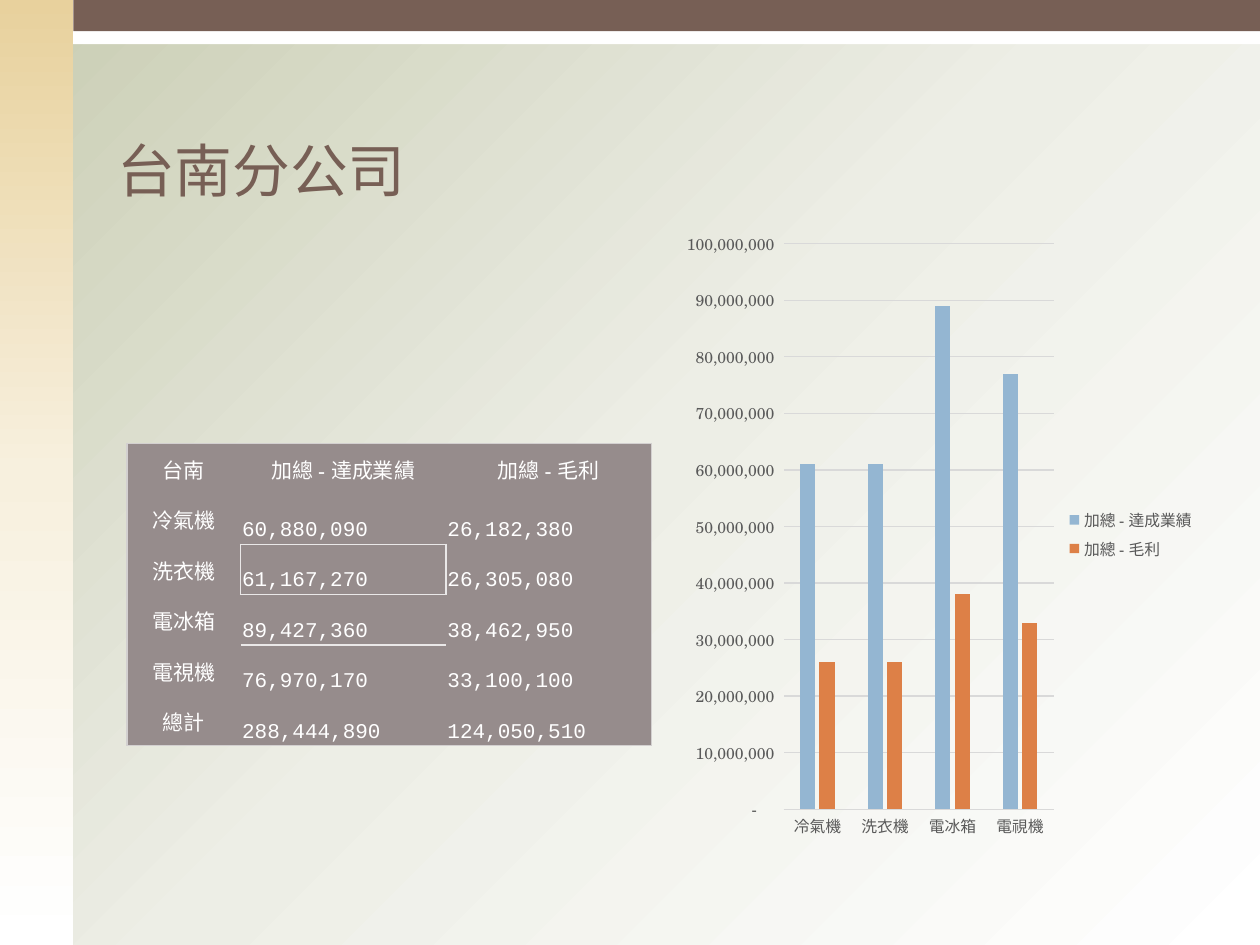
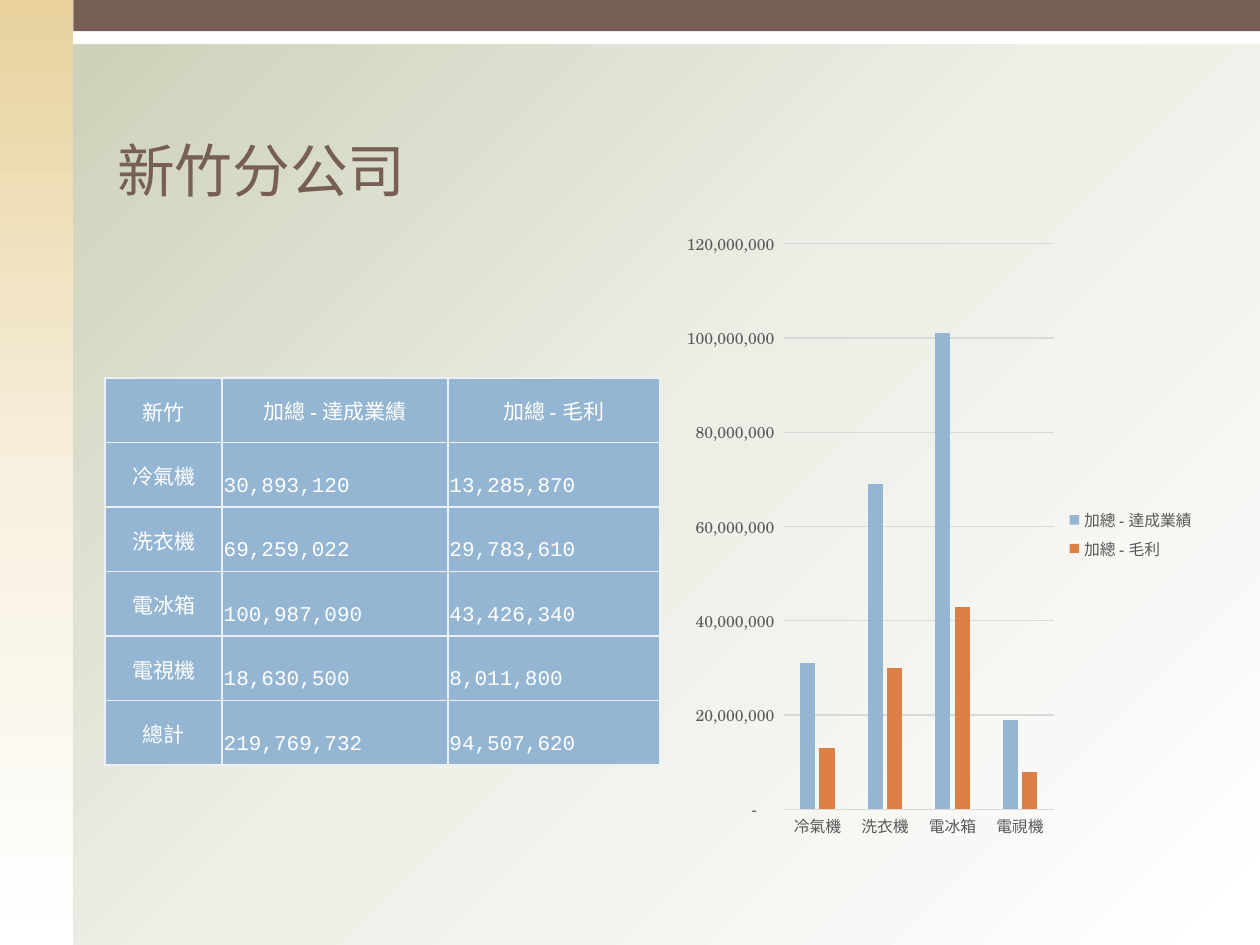
from dataclasses import dataclass

from lxml import etree
from pptx import Presentation
from pptx.chart.data import CategoryChartData
from pptx.dml.color import RGBColor
from pptx.enum import chart as ch, shapes, text
from pptx.oxml.ns import qn
from pptx.util import Cm, Pt

COLORS = {
    "brown": "775F55", "white": "FFFFFF", "blue": "94B6D2", "orange": "DD8047",
    "taupe": "968C8C", "outline": "D3D0D0", "highlight": "EAE8E8",
    "pale_blue": "EAF0F6", "axis_text": "595959", "grid": "D9D9D9", "black": "000000",
}
PAGE_GRADIENT = ("C9CDB3", "EDEEE6", "FFFFFF")
SIDEBAR_GRADIENT = ("E8D19D", "F7F0DE", "FFFFFF")
SERIF, SANS, MONO = "TeX Gyre Schola", "Noto Sans CJK KR", "Courier New"
NO_STYLE = "{2D5ABB26-0587-4C30-8999-92F81FD0307C}"
NUMBER_FORMAT = '_-* #,##0_-;\\-* #,##0_-;_-* "-"??_-;_-@_'
PRODUCTS = ("冷氣機", "洗衣機", "電冰箱", "電視機")
MEASURES = ("加總 - 達成業績", "加總 - 毛利")
ROW_COUNT = len(PRODUCTS) + 2
TWO_LINES = 0.96
PAGE_W, PAGE_H = 25.4, 19.05
SIDEBAR_W = 1.48


@dataclass
class Branch:
    name: str
    sales: tuple
    profit: tuple
    origin: tuple
    columns: tuple
    table_height: float
    fill: str
    edges: callable
    axis_max: int
    axis_step: int

    @property
    def row_height(self):
        return self.table_height / ROW_COUNT


def rgb(name):
    return RGBColor.from_string(COLORS[name])


def style_font(font, name, size, color):
    font.name, font.size = name, Pt(size)
    font.color.rgb = rgb(color)


def add_east_asian_font(element):
    for latin in list(element.iter(qn("a:latin"))):
        ea = etree.Element(qn("a:ea"))
        ea.set("typeface", SANS)
        latin.addnext(ea)


def fill_gradient(fill, element, colors, angle):
    fill.gradient()
    fill.gradient_angle = 360 - angle
    stops = next(element.iter(qn("a:gsLst")))
    for stop in list(stops):
        stops.remove(stop)
    for i, color in enumerate(colors):
        stop = etree.SubElement(stops, qn("a:gs"), pos=str(i * 50000))
        etree.SubElement(stop, qn("a:srgbClr"), val=color)


def add_band(slide, left, top, width, height, color=None):
    sp = slide.shapes.add_shape(
        shapes.MSO_SHAPE.RECTANGLE, Cm(left), Cm(top), Cm(width), Cm(height))
    sp.shadow.inherit = False
    sp.line.fill.background()
    if color:
        sp.fill.solid()
        sp.fill.fore_color.rgb = rgb(color)
    return sp


def add_frame(slide):
    fill_gradient(slide.background.fill, slide._element, PAGE_GRADIENT, 45)
    add_band(slide, 0, 0, PAGE_W, 0.89, "white")
    sidebar = add_band(slide, 0, 0, SIDEBAR_W, PAGE_H)
    fill_gradient(sidebar.fill, sidebar._element, SIDEBAR_GRADIENT, 90)
    add_band(slide, SIDEBAR_W, 0, PAGE_W - SIDEBAR_W, 0.63, "brown")


def add_title(slide, title):
    sp = slide.shapes.add_textbox(Cm(2.11), Cm(1.05), Cm(22.23), Cm(3.18))
    tf = sp.text_frame
    tf.word_wrap = True
    tf.vertical_anchor = text.MSO_ANCHOR.BOTTOM
    p = tf.paragraphs[0]
    p.text = title
    style_font(p.font, SANS, 33, "brown")
    add_east_asian_font(p._p)


def set_edges(cell, edges):
    tc_pr = cell._tc.get_or_add_tcPr()
    for side in "LRTB":
        if side in edges:
            color, width = edges[side]
            ln = etree.SubElement(tc_pr, qn(f"a:ln{side}"), w=str(Pt(width)))
            solid = etree.SubElement(ln, qn("a:solidFill"))
            etree.SubElement(solid, qn("a:srgbClr"), val=COLORS[color])


def tainan_edges(row, col):
    outer = {"L": col == 0, "R": col == 2, "T": row == 0, "B": row == ROW_COUNT - 1}
    marked = {(1, 1): "B", (2, 0): "R", (2, 1): "LRTB", (2, 2): "L", (3, 1): "T"}
    edges = {side: ("outline", 0.79) for side, on in outer.items() if on}
    edges.update({side: ("highlight", 1) for side in marked.get((row, col), "")})
    return edges


def hsinchu_edges(row, col):
    return {side: ("pale_blue", 1) for side in "LRTB"}


def fill_cell(cell, value, branch):
    is_number = isinstance(value, int)
    cell.margin_left = cell.margin_right = cell.margin_top = Cm(0.03)
    cell.margin_bottom = 0
    cell.vertical_anchor = text.MSO_ANCHOR.MIDDLE
    p = cell.text_frame.paragraphs[0]
    if is_number:
        cell.vertical_anchor = text.MSO_ANCHOR.BOTTOM
        cell.margin_bottom = Cm((branch.row_height - TWO_LINES) / 2)
        p.text = f"{value:,}"
    else:
        p.text = value
        p.alignment = text.PP_ALIGN.CENTER
    style_font(p.font, MONO if is_number else SERIF, 12, "white")
    add_east_asian_font(p._p)
    cell.fill.solid()
    cell.fill.fore_color.rgb = rgb(branch.fill)


def add_branch_table(slide, branch):
    rows = [(branch.name, *MEASURES),
            *zip(PRODUCTS, branch.sales, branch.profit),
            ("總計", sum(branch.sales), sum(branch.profit))]
    left, top = branch.origin
    frame = slide.shapes.add_table(
        ROW_COUNT, len(branch.columns), Cm(left), Cm(top),
        Cm(sum(branch.columns)), Cm(branch.table_height))
    table = frame.table
    table.first_row = table.horz_banding = False
    next(table._tbl.iter(qn("a:tableStyleId"))).text = NO_STYLE
    for column, width in zip(table.columns, branch.columns):
        column.width = Cm(width)
    for r, values in enumerate(rows):
        table.rows[r].height = Cm(branch.row_height)
        for c, value in enumerate(values):
            set_edges(table.cell(r, c), branch.edges(r, c))
            fill_cell(table.cell(r, c), value, branch)


def style_line(line, color):
    line.color.rgb = rgb(color)
    line.width = Pt(0.75)


def add_branch_chart(slide, branch):
    data = CategoryChartData(number_format="#,##0")
    data.categories = PRODUCTS
    for name, values in zip(MEASURES, (branch.sales, branch.profit)):
        data.add_series(name, [round(value, -6) for value in values])
    chart = slide.shapes.add_chart(
        ch.XL_CHART_TYPE.COLUMN_CLUSTERED,
        Cm(13.54), Cm(4.42), Cm(10.8), Cm(12.7), data).chart
    chart.has_title = False
    style_font(chart.font, SERIF, 10, "black")
    chart.has_legend = True
    chart.legend.position = ch.XL_LEGEND_POSITION.RIGHT
    chart.legend.include_in_layout = False
    style_font(chart.legend.font, SERIF, 9, "axis_text")

    plot = chart.plots[0]
    plot.vary_by_categories = False
    plot.gap_width, plot.overlap = 219, -27
    for series, color in zip(plot.series, ("blue", "orange")):
        series.format.fill.solid()
        series.format.fill.fore_color.rgb = rgb(color)

    for axis in (chart.category_axis, chart.value_axis):
        axis.major_tick_mark = axis.minor_tick_mark = ch.XL_TICK_MARK.NONE
        style_font(axis.tick_labels.font, SERIF, 9, "axis_text")
    style_line(chart.category_axis.format.line, "grid")
    value_axis = chart.value_axis
    value_axis.format.line.fill.background()
    value_axis.has_major_gridlines = True
    style_line(value_axis.major_gridlines.format.line, "grid")
    value_axis.minimum_scale = 0
    value_axis.maximum_scale = branch.axis_max
    value_axis.major_unit = branch.axis_step
    value_axis.tick_labels.number_format = NUMBER_FORMAT
    value_axis.tick_labels.number_format_is_linked = False
    add_east_asian_font(chart._chartSpace)


BRANCHES = (
    Branch("台南", (60880090, 61167270, 89427360, 76970170),
           (26182380, 26305080, 38462950, 33100100),
           (2.56, 8.94), (2.29, 4.14, 4.14), 6.1, "taupe", tainan_edges,
           100_000_000, 10_000_000),
    Branch("新竹", (30893120, 69259022, 100987090, 18630500),
           (13285870, 29783610, 43426340, 8011800),
           (2.12, 7.62), (2.36, 4.55, 4.27), 7.8, "blue", hsinchu_edges,
           120_000_000, 20_000_000),
)


def main():
    prs = Presentation()
    prs.slide_width, prs.slide_height = Cm(PAGE_W), Cm(PAGE_H)
    for branch in BRANCHES:
        slide = prs.slides.add_slide(prs.slide_layouts[6])
        add_frame(slide)
        add_title(slide, f"{branch.name}分公司")
        add_branch_table(slide, branch)
        add_branch_chart(slide, branch)
    prs.save("out.pptx")


if __name__ == "__main__":
    main()
